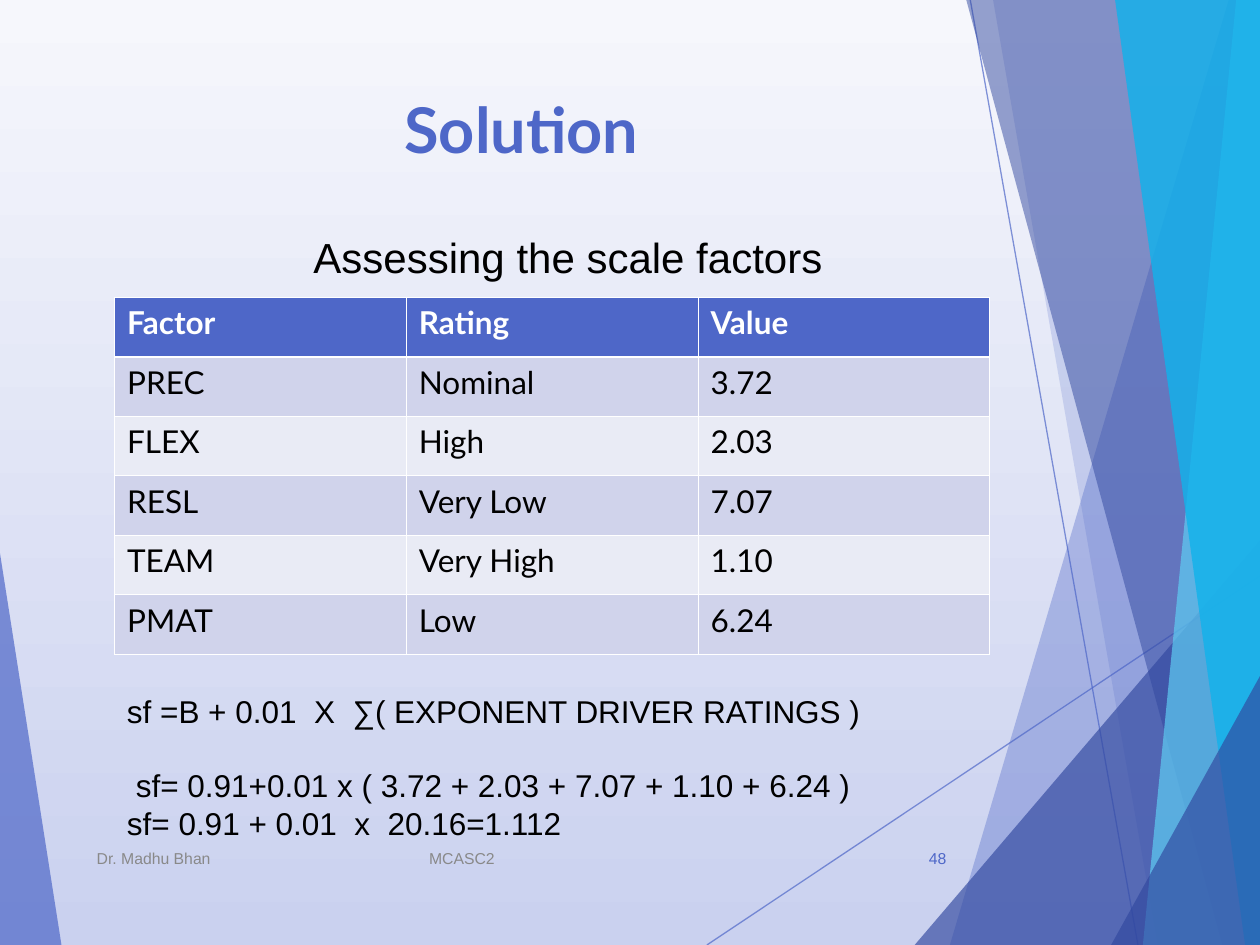
from lxml.etree import SubElement
from pptx import Presentation
from pptx.dml.color import RGBColor
from pptx.enum.shapes import MSO_CONNECTOR as Connector
from pptx.enum.text import MSO_ANCHOR as Anchor, PP_ALIGN as Align
from pptx.oxml.ns import qn
from pptx.util import Cm, Pt

WIDTH, HEIGHT = 25.4, 19.05
BLUE, NAVY, SKY, CYAN = "4E67C8", "31489F", "5ECCF3", "12B2EB"
BLACK, WHITE, GREY = "000000", "FFFFFF", "898989"
BANDS = "D0D3EB", "E9EBF5"
BACKGROUND = "F6F7FC", "CAD1EF"

# Facets: colour, opacity in percent, corners in cm
LEFT_FACET = (BLUE, 70, [(0, 11.15), (1.24, HEIGHT), (0, HEIGHT)])
RAYS = [((14.25, HEIGHT), (WIDTH, 11.61)), ((19.56, 0), (22.94, HEIGHT))]
# Right facets: colour, opacity, left edge from upper to lower end
RIGHT_FACETS = [
    (BLUE, 36, (24.77, 0), 19.15),
    (BLUE, 20, (20.02, 0), 23.34),
    (NAVY, 66, (WIDTH, 10.9), 18.44),
    (NAVY, 50, (19.48, 0), 24.64),
    (SKY, 70, (24.92, 0), 23.04),
    (CYAN, 82, (22.48, 0), 25.1),
    (NAVY, 66, (WIDTH, 13.63), 22.4),
]

FACTORS = [
    ("Factor", "Rating", "Value"),
    ("PREC", "Nominal", "3.72"),
    ("FLEX", "High", "2.03"),
    ("RESL", "Very Low", "7.07"),
    ("TEAM", "Very High", "1.10"),
    ("PMAT", "Low", "6.24"),
]
TABLE_LEFT, TABLE_TOP, COLUMN, ROW = 2.31, 5.99, 5.88, 1.2
FORMULAS = [
    "sf =B + 0.01  X  ∑( EXPONENT DRIVER RATINGS )",
    "sf= 0.91+0.01 x ( 3.72 + 2.03 + 7.07 + 1.10 + 6.24 )",
    "sf= 0.91 + 0.01  x  20.16=1.112",
]


def rgb(value):
    return RGBColor.from_string(value)


def set_opacity(shape, percent):
    for color in shape._element.spPr.iter(qn("a:srgbClr")):
        SubElement(color, qn("a:alpha")).set("val", str(percent * 1000))


def add_facet(page, color, opacity, corners):
    points = [(Cm(x), Cm(y)) for x, y in corners]
    builder = page.shapes.build_freeform(*points[0])
    builder.add_line_segments(points[1:], close=True)
    facet = builder.convert_to_shape()
    facet.shadow.inherit = False
    facet.fill.solid()
    facet.fill.fore_color.rgb = rgb(color)
    facet.line.fill.background()
    set_opacity(facet, opacity)


def add_ray(page, start, end):
    ray = page.shapes.add_connector(
        Connector.STRAIGHT, *(Cm(value) for value in start + end))
    ray.line.color.rgb = rgb(BLUE)
    ray.line.width = Pt(0.75)
    set_opacity(ray, 70)
    SubElement(ray._element.spPr, qn("a:effectLst"))


def style(para, size, color, font="Arial", bold=False):
    para.font.name = font
    para.font.size = Pt(size)
    para.font.bold = bold
    para.font.color.rgb = rgb(color)


def add_text(page, lines, place, size, color, font="Arial", bold=False,
             align=Align.LEFT, anchor=Anchor.TOP, tab=None):
    """Add a text box with one paragraph per line; tab is a stop in cm."""
    box = page.shapes.add_textbox(*(Cm(value) for value in place))
    frame = box.text_frame
    frame.word_wrap = True
    frame.vertical_anchor = anchor
    frame.text = "\n".join(lines)
    for para in frame.paragraphs:
        para.alignment = align
        if tab:
            stops = SubElement(para._p.get_or_add_pPr(), qn("a:tabLst"))
            SubElement(stops, qn("a:tab"), pos=str(Cm(tab)), algn="l")
        style(para, size, color, font, bold)
    return frame.paragraphs


def set_borders(cell, top, bottom):
    properties = cell._tc.get_or_add_tcPr()
    for side, width in (("L", 0.45), ("R", 0.45), ("T", top), ("B", bottom)):
        line = SubElement(properties, qn(f"a:ln{side}"), w=str(Pt(width)))
        fill = SubElement(line, qn("a:solidFill"))
        SubElement(fill, qn("a:srgbClr"), val=WHITE)


def add_factor_table(page):
    rows, columns = len(FACTORS), len(FACTORS[0])
    table = page.shapes.add_table(
        rows, columns, Cm(TABLE_LEFT), Cm(TABLE_TOP),
        Cm(COLUMN * columns), Cm(ROW * rows)).table
    for column in table.columns:
        column.width = Cm(COLUMN)
    for r, texts in enumerate(FACTORS):
        table.rows[r].height = Cm(ROW)
        header = r == 0
        for c, text in enumerate(texts):
            cell = table.cell(r, c)
            cell.text = text
            style(cell.text_frame.paragraphs[0], 18,
                  WHITE if header else BLACK, "Lato", header)
            set_borders(cell, 1.47 if r == 1 else 0.45,
                        1.47 if header else 0.45)
            cell.fill.solid()
            cell.fill.fore_color.rgb = rgb(
                BLUE if header else BANDS[(r - 1) % 2])


def main():
    deck = Presentation()
    deck.slide_width, deck.slide_height = Cm(WIDTH), Cm(HEIGHT)
    page = deck.slides.add_slide(deck.slide_layouts[6])

    backdrop = page.background.fill
    backdrop.gradient()
    backdrop.gradient_angle = 270
    for stop, color in zip(backdrop.gradient_stops, BACKGROUND):
        stop.color.rgb = rgb(color)

    add_facet(page, *LEFT_FACET)
    for start, end in RAYS:
        add_ray(page, start, end)
    for color, opacity, upper, lower in RIGHT_FACETS:
        corners = [upper, (lower, HEIGHT), (WIDTH, HEIGHT)]
        if upper[0] < WIDTH:
            corners.append((WIDTH, 0))
        add_facet(page, color, opacity, corners)

    add_text(page, ["Solution"], (1.7, 1.7, 17.63, 3.66), 36, BLUE,
             "Lato", True, Align.CENTER)
    add_factor_table(page)
    add_text(page, ["48"], (17.91, 16.79, 1.42, 1.02), 9, BLUE,
             align=Align.RIGHT, anchor=Anchor.MIDDLE)
    add_text(page, ["Assessing the scale factors"],
             (6.07, 4.55, 12.37, 1.27), 24, BLACK)
    formulas = add_text(page, FORMULAS, (2.31, 13.82, 17.63, 4.06), 18, BLACK)
    formulas[1].space_before = Pt(21)
    formulas[1]._p.get_or_add_pPr().set("marL", str(Cm(0.18)))
    add_text(page, ["Dr. Madhu Bhan\tMCASC2"], (1.7, 16.79, 12.85, 1.02),
             9, GREY, anchor=Anchor.MIDDLE, tab=6.7)
    deck.save("out.pptx")


if __name__ == "__main__":
    main()
